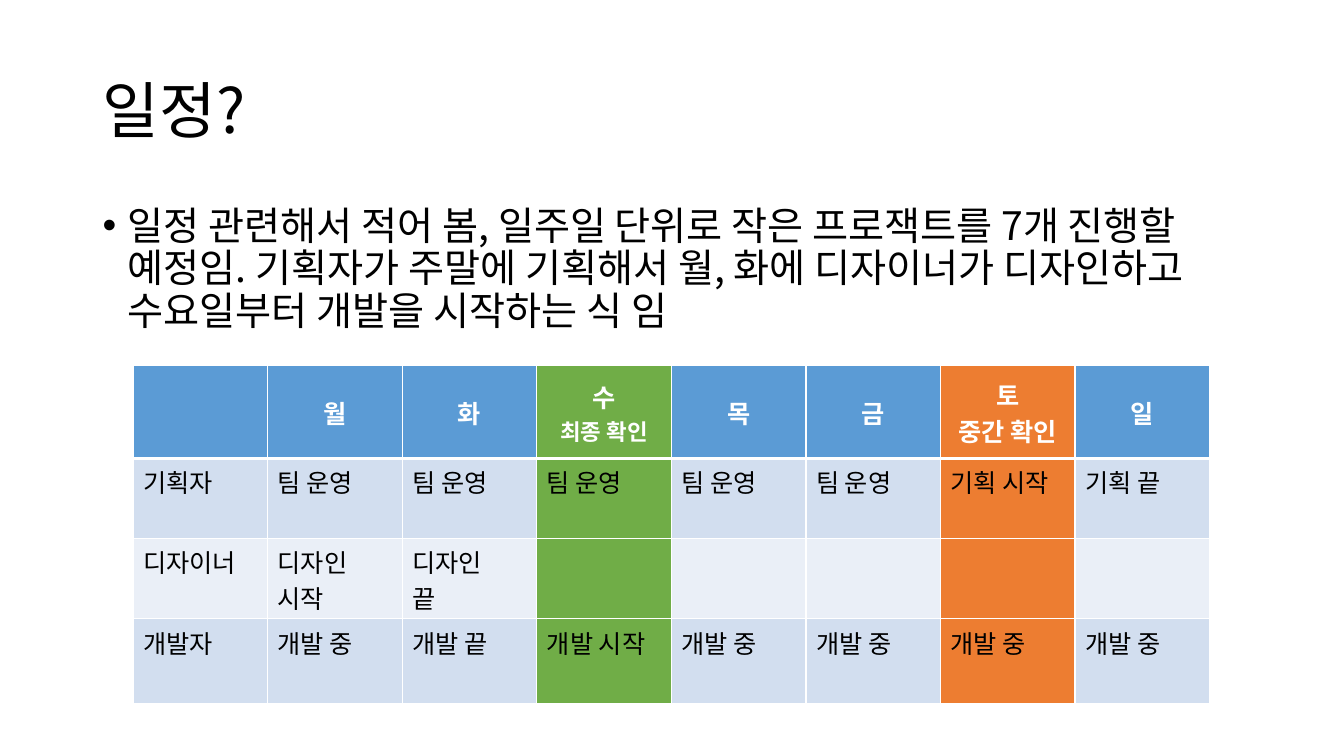
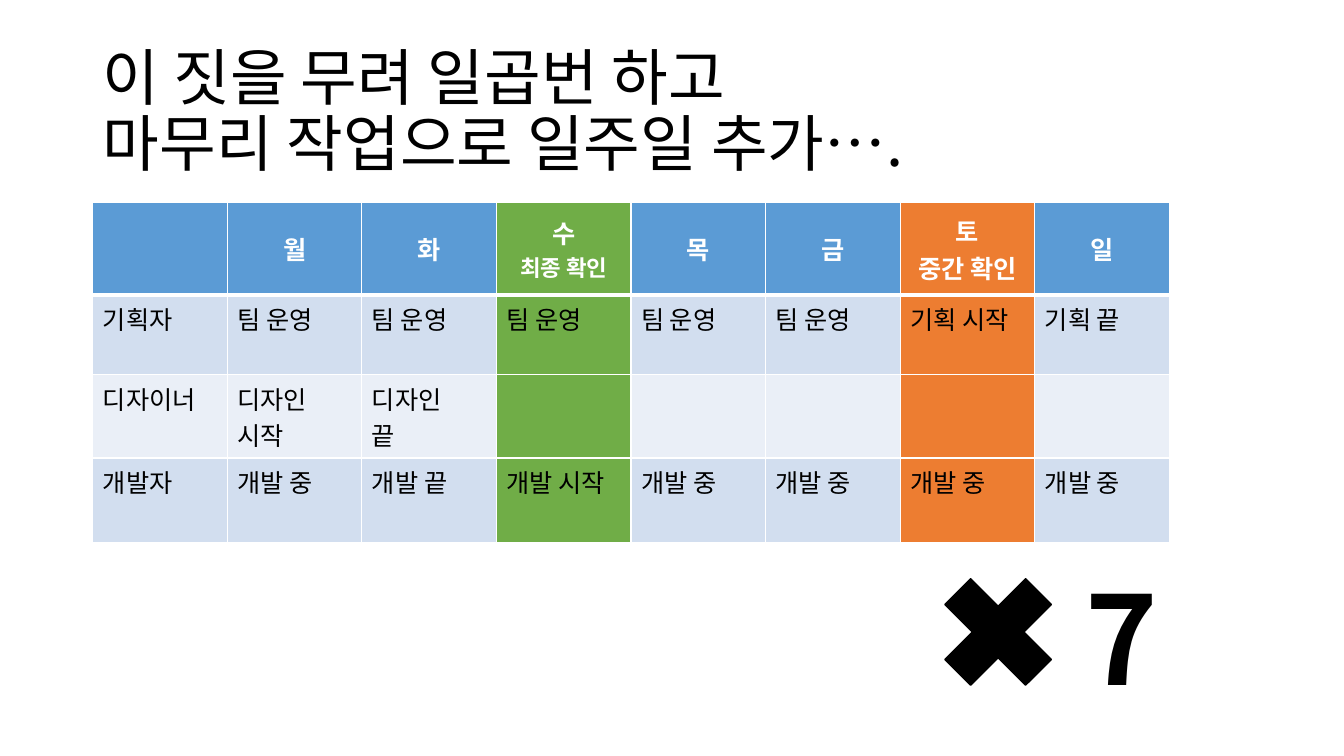
from lxml import etree
from pptx import Presentation
from pptx import util as u
from pptx.dml import color
from pptx.enum import shapes, text
from pptx.oxml import ns

FONT = "Noto Sans CJK KR"
BLACK, WHITE = "000000", "FFFFFF"
HEADER, BANDS = "5B9BD5", ("D2DEEF", "EAEFF7")
HIGHLIGHTS = {3: "70AD47", 6: "ED7D31"}
NOTE_SIZES = {3: 16}
ROW_HEIGHTS = (0.92, 0.79, 0.8, 0.84)
SCHEDULE = (
    ("", "월", "화", "수\n최종 확인", "목", "금", "토\n중간 확인", "일"),
    ("기획자", "팀 운영", "팀 운영", "팀 운영", "팀 운영", "팀 운영", "기획 시작", "기획 끝"),
    ("디자이너", "디자인\n시작", "디자인\n끝", "", "", "", "", ""),
    ("개발자", "개발 중", "개발 끝", "개발 시작", "개발 중", "개발 중", "개발 중", "개발 중"),
)


def rgb(value):
    return color.RGBColor.from_string(value)


def add_child(parent, tag, **attributes):
    return etree.SubElement(parent, ns.qn(tag), **attributes)


def write(frame, content, size=18, ink=BLACK, bold=False, align=text.PP_ALIGN.LEFT,
          spacing=None, before=None, note_size=None):
    for index, line in enumerate(content.split("\n")):
        para = frame.add_paragraph() if index else frame.paragraphs[0]
        para.text = line
        para.alignment = align
        para.line_spacing = spacing
        if before is not None:
            para.space_before = u.Pt(before)
        for span in para.runs:
            span.font.size = u.Pt(note_size if index and note_size else size)
            span.font.bold = bold
            span.font.color.rgb = rgb(ink)
            span.font.name = FONT
            add_child(span.font._element, "a:ea", typeface=FONT)


def set_borders(cell, **widths):
    properties = cell._tc.get_or_add_tcPr()
    for side in "LRTB":
        line = add_child(properties, f"a:ln{side}", w=str(u.Pt(widths.get(side, 1))))
        add_child(add_child(line, "a:solidFill"), "a:srgbClr", val=WHITE)


class Deck:
    def __init__(self):
        self.deck = Presentation()
        self.deck.slide_width = u.Inches(13.33)
        self.deck.slide_height = u.Inches(7.5)
        self.page = None

    def add_page(self, title):
        self.page = self.deck.slides.add_slide(self.deck.slide_layouts[5])
        box = self.page.shapes.title
        box.left, box.top = u.Inches(0.92), u.Inches(0.4)
        box.width, box.height = u.Inches(11.5), u.Inches(1.45)
        frame = box.text_frame
        frame.auto_size = text.MSO_AUTO_SIZE.NONE
        frame.vertical_anchor = text.MSO_ANCHOR.MIDDLE
        write(frame, title, size=44, spacing=0.9)

    def add_text(self, content, left, top, width, height, bullet=False, **style):
        box = self.page.shapes.add_textbox(*map(u.Inches, (left, top, width, height)))
        frame = box.text_frame
        frame.word_wrap = True
        write(frame, content, **style)
        if bullet:
            indent = u.Inches(0.25)
            for para in frame.paragraphs:
                properties = para._p.get_or_add_pPr()
                properties.set("marL", str(indent))
                properties.set("indent", str(-indent))
                add_child(properties, "a:buFont", typeface="Arial")
                add_child(properties, "a:buChar", char="•")

    def add_schedule(self, left, top):
        rows, columns = len(SCHEDULE), len(SCHEDULE[0])
        table = self.page.shapes.add_table(
            rows, columns, u.Inches(left), u.Inches(top),
            u.Inches(10.68), u.Inches(sum(ROW_HEIGHTS))).table
        for row, height in zip(table.rows, ROW_HEIGHTS):
            row.height = u.Inches(height)
        for r, labels in enumerate(SCHEDULE):
            base = BANDS[(r - 1) % 2] if r else HEADER
            for c, label in enumerate(labels):
                cell = table.cell(r, c)
                set_borders(cell, T=3 if r == 1 else 1, B=1 if r else 3)
                cell.fill.solid()
                cell.fill.fore_color.rgb = rgb(HIGHLIGHTS.get(c, base))
                if r:
                    write(cell.text_frame, label)
                else:
                    cell.vertical_anchor = text.MSO_ANCHOR.MIDDLE
                    write(cell.text_frame, label, ink=WHITE, bold=True,
                          align=text.PP_ALIGN.CENTER, note_size=NOTE_SIZES.get(c))

    def add_multiply_sign(self, left, top, size):
        sign = self.page.shapes.add_shape(
            shapes.MSO_SHAPE.MATH_MULTIPLY, *map(u.Inches, (left, top, size, size)))
        sign.shadow.inherit = False
        sign.fill.solid()
        sign.fill.fore_color.rgb = rgb(BLACK)
        sign.line.color.rgb = rgb(BLACK)
        sign.line.width = u.Pt(1)

    def save(self):
        self.deck.save("out.pptx")


def main():
    deck = Deck()
    deck.add_page("일정?")
    deck.add_text(
        "일정 관련해서 적어 봄, 일주일 단위로 작은 프로잭트를 7개 진행할 예정임. "
        "기획자가 주말에 기획해서 월, 화에 디자이너가 디자인하고 "
        "수요일부터 개발을 시작하는 식 임",
        0.92, 2, 11.5, 4.76, bullet=True, size=28, spacing=0.9, before=10)
    deck.add_schedule(1.32, 3.63)

    deck.add_page("이 짓을 무려 일곱번 하고 \v마무리 작업으로 일주일 추가….")
    deck.add_schedule(0.92, 2.01)
    deck.add_multiply_sign(9.13, 5.5, 1.54)
    deck.add_text("7", 10.67, 5.53, 1.48, 1.58, size=88, bold=True)
    deck.save()


if __name__ == "__main__":
    main()
